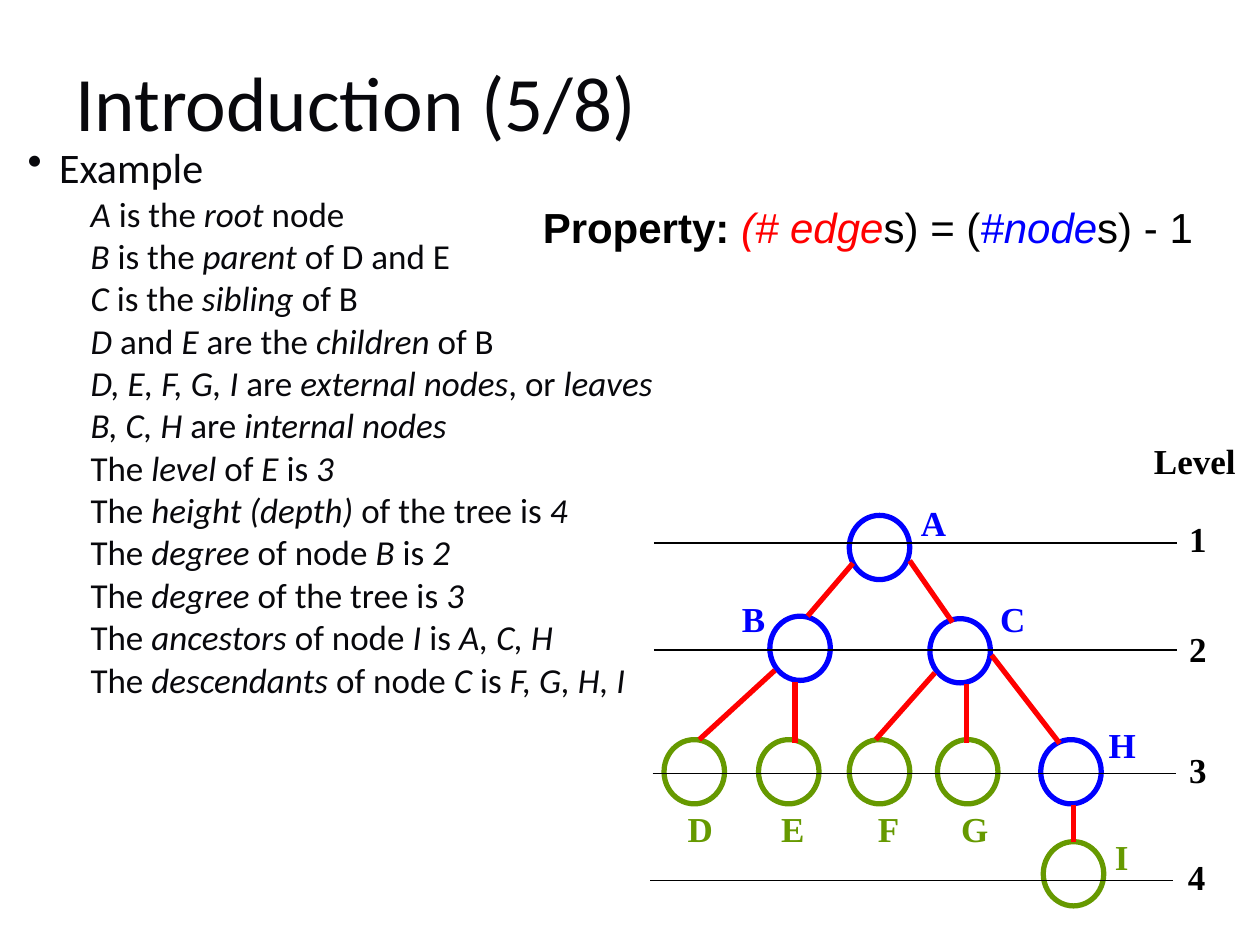
from pptx import Presentation
from pptx.dml.color import RGBColor
from pptx.enum.shapes import MSO_CONNECTOR, MSO_SHAPE
from pptx.enum.text import MSO_ANCHOR, MSO_AUTO_SIZE
from pptx.oxml.ns import qn
from pptx.util import Inches, Pt
from lxml import etree

STRAIGHT = MSO_CONNECTOR.STRAIGHT
OVAL = MSO_SHAPE.OVAL
MIDDLE, TOP = MSO_ANCHOR.MIDDLE, MSO_ANCHOR.TOP
GROW = MSO_AUTO_SIZE.SHAPE_TO_FIT_TEXT

INK, BLACK, RED, BLUE, GREEN = "08080C", "000000", "FF0000", "0000FF", "669900"
BODY_FONT, LABEL_FONT, PROPERTY_FONT = "Calibri", "Times New Roman", "Arial"
NODE_WIDTH, NODE_HEIGHT = 0.48, 0.51
LABEL_HEIGHT = 0.44

# Asterisks enclose italic words
STATEMENTS = [
    "*A *is the *root *node",
    "*B *is the *parent *of D and E",
    "*C *is the *sibling *of B",
    "*D *and *E *are the *children *of B",
    "*D, E, F, G, I* are *external nodes*, or *leaves*",
    "*B, C, H *are *internal nodes*",
    "The *level* of *E *is *3*",
    "The *height (depth) *of the tree is *4*",
    "The *degree *of node *B *is *2*",
    "The *degree *of the tree is *3*",
    "The *ancestors *of node *I *is* A, C, H*",
    "The *descendants *of node *C *is* F, G, H, I*",
]

# Name, colour, circle left and top, label left, top and width
NODES = [
    ("A", BLUE, 6.74, 4.09, 7.21, 3.93, 0.4),
    ("B", BLUE, 6.11, 4.89, 5.79, 4.69, 0.38),
    ("C", BLUE, 7.38, 4.91, 7.84, 4.69, 0.4),
    ("D", GREEN, 5.27, 5.87, 5.36, 6.36, 0.4),
    ("E", GREEN, 6.02, 5.87, 6.1, 6.36, 0.38),
    ("F", GREEN, 6.74, 5.87, 6.87, 6.36, 0.37),
    ("G", GREEN, 7.44, 5.87, 7.53, 6.36, 0.41),
    ("H", BLUE, 8.26, 5.87, 8.7, 5.69, 0.41),
    ("I", GREEN, 8.28, 6.68, 8.75, 6.58, 0.31),
]

EDGES = [
    (6.77, 4.47, 6.41, 4.89),  # A to B
    (7.22, 4.45, 7.56, 4.94),  # A to C
    (6.15, 5.32, 5.55, 5.87),  # B to D
    (6.31, 5.41, 6.31, 5.9),   # B to E
    (7.42, 5.34, 6.95, 5.87),  # C to F
    (7.67, 5.43, 7.67, 5.9),   # C to G
    (7.87, 5.2, 8.41, 5.9),    # C to H
    (8.52, 6.39, 8.52, 6.68),  # H to I
]

# Line left, line height, number left, number top
LEVELS = [
    (5.19, 4.31, 9.34, 4.06),
    (5.19, 5.16, 9.34, 4.93),
    (5.18, 6.14, 9.34, 5.89),
    (5.16, 6.99, 9.33, 6.74),
]
LEVEL_LINE_LENGTH = 4.15


def color(hex_string):
    return RGBColor.from_string(hex_string)


class SlideBuilder:
    def __init__(self, slide):
        self.slide = slide

    def text_frame(self, left, top, width, height, wrap=True, anchor=TOP):
        box = self.slide.shapes.add_textbox(
            Inches(left), Inches(top), Inches(width), Inches(height))
        frame = box.text_frame
        frame.word_wrap = wrap
        frame.vertical_anchor = anchor
        if not wrap:
            frame.auto_size = GROW
        return frame

    def style(self, paragraph, font, size, hex_string=None, bold=None):
        paragraph.font.name = font
        paragraph.font.size = Pt(size)
        paragraph.font.bold = bold
        if hex_string:
            paragraph.font.color.rgb = color(hex_string)

    def title(self, text):
        frame = self.text_frame(0.5, 0.22, 9, 1.25, anchor=MIDDLE)
        paragraph = frame.paragraphs[0]
        paragraph.text = text
        paragraph.line_spacing = 0.9
        self.style(paragraph, BODY_FONT, 44, INK)

    def list_item(self, paragraph, text, size, indent, space, bullet=None):
        self.style(paragraph, BODY_FONT, size, INK)
        paragraph.line_spacing = 0.8
        paragraph.space_before = Pt(space)
        properties = paragraph._p.get_or_add_pPr()
        properties.set("marL", str(Inches(indent)))
        properties.set("indent", str(Inches(-0.25)))
        mark = properties.makeelement(qn("a:buChar" if bullet else "a:buNone"), {})
        if bullet:
            mark.set("char", bullet)
        properties.find(qn("a:defRPr")).addprevious(mark)
        for index, part in enumerate(text.split("*")):
            if part:
                run = paragraph.add_run()
                run.text = part
                run.font.italic = index % 2 == 1

    def label(self, text, left, top, width, hex_string=BLACK):
        frame = self.text_frame(left, top, width, LABEL_HEIGHT, wrap=False)
        paragraph = frame.paragraphs[0]
        paragraph.text = text
        self.style(paragraph, LABEL_FONT, 20, hex_string, bold=True)

    def circle(self, left, top, hex_string):
        shape = self.slide.shapes.add_shape(
            OVAL, Inches(left), Inches(top), Inches(NODE_WIDTH), Inches(NODE_HEIGHT))
        shape.shadow.inherit = False
        shape.fill.background()
        shape.line.color.rgb = color(hex_string)
        shape.line.width = Pt(3)

    def line(self, x1, y1, x2, y2, hex_string, width):
        connector = self.slide.shapes.add_connector(
            STRAIGHT, Inches(x1), Inches(y1), Inches(x2), Inches(y2))
        connector.line.color.rgb = color(hex_string)
        connector.line.width = Pt(width)
        etree.SubElement(connector._element.spPr, qn("a:effectLst"))

    def property_note(self, parts):
        frame = self.text_frame(4.21, 1.55, 5.36, 0.5, wrap=False)
        paragraph = frame.paragraphs[0]
        self.style(paragraph, PROPERTY_FONT, 24)
        for text, hex_string, bold, italic in parts:
            run = paragraph.add_run()
            run.text = text
            run.font.color.rgb = color(hex_string)
            run.font.bold = bold
            run.font.italic = italic


def main():
    presentation = Presentation()
    presentation.slide_width = Inches(10)
    presentation.slide_height = Inches(7.5)
    slide = presentation.slides.add_slide(presentation.slide_layouts[6])
    builder = SlideBuilder(slide)

    # Title and statements
    builder.title("Introduction (5/8)")
    body = builder.text_frame(0.12, 1.15, 9.79, 6.22)
    builder.list_item(body.paragraphs[0], "Example", 24, 0.25, 10, bullet="•")
    for statement in STATEMENTS:
        paragraph = body.add_paragraph()
        paragraph.level = 1
        builder.list_item(paragraph, statement, 20, 0.75, 5)

    # Tree
    for _, hex_string, left, top, *_ in NODES:
        builder.circle(left, top, hex_string)
    for edge in EDGES:
        builder.line(*edge, RED, 3)
    for name, hex_string, _, _, left, top, width in NODES:
        builder.label(name, left, top, width, hex_string)

    # Levels
    builder.label("Level", 9.06, 3.44, 0.85)
    for number, (left, y, number_left, number_top) in enumerate(LEVELS, 1):
        builder.line(left, y, left + LEVEL_LINE_LENGTH, y, BLACK, 0.75)
        builder.label(str(number), number_left, number_top, 0.34)

    # Property
    builder.property_note([
        ("Property: ", BLACK, True, False),
        ("(# edge", RED, False, True),
        ("s) = (", BLACK, False, False),
        ("#node", BLUE, False, True),
        ("s) - 1", BLACK, False, False),
    ])

    presentation.save("out.pptx")


if __name__ == "__main__":
    main()
